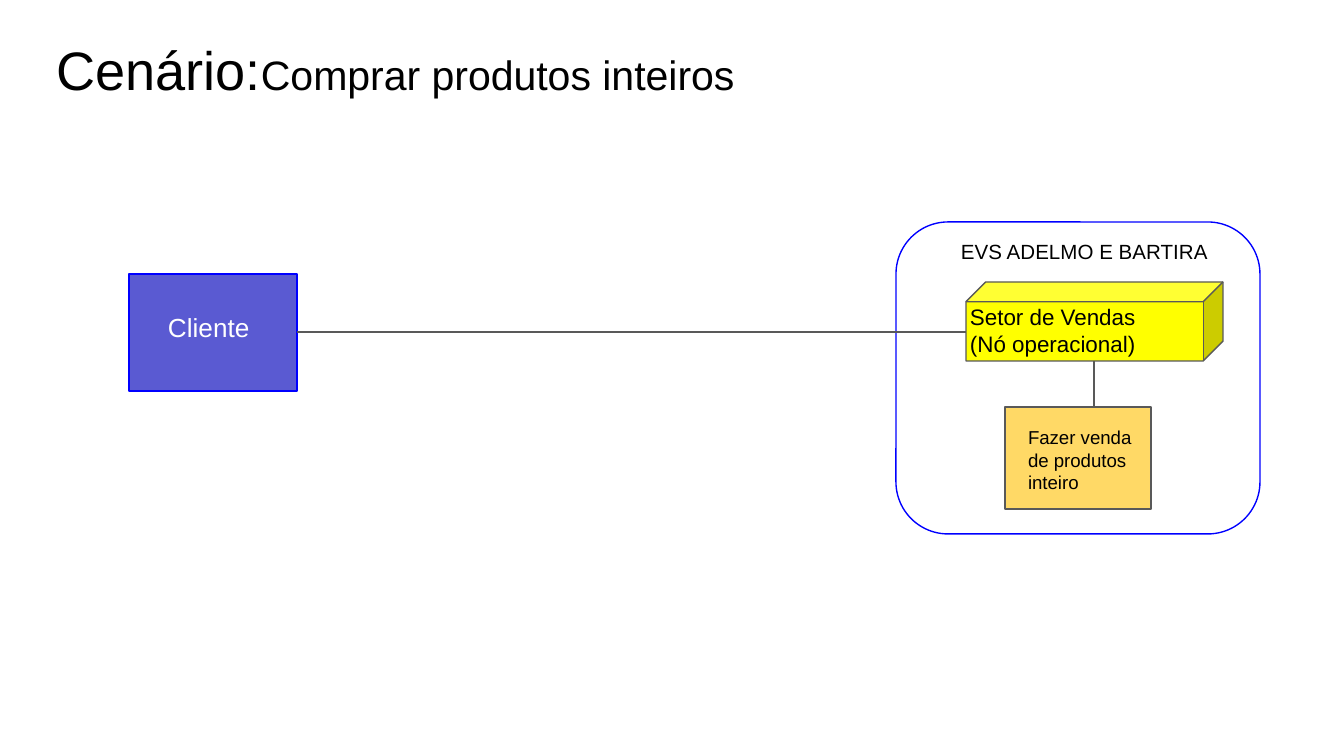
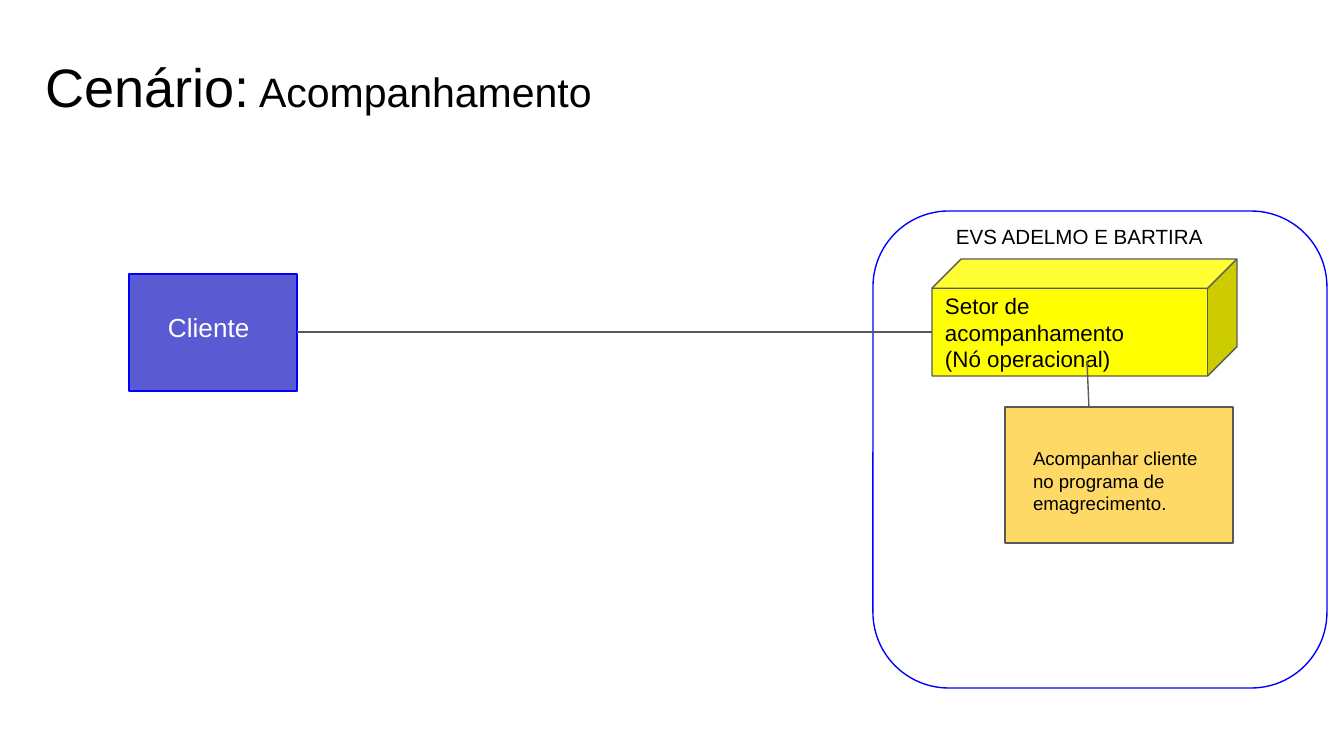
from dataclasses import dataclass

from lxml import etree
from pptx import Presentation
from pptx import util as u
from pptx.dml.color import RGBColor
from pptx.enum import shapes, text
from pptx.oxml.ns import qn

PIXEL = u.Inches(10) / 1344


@dataclass(frozen=True)
class Theme:
    font: str = "Arial"
    black: str = "000000"
    white: str = "FFFFFF"
    blue: str = "0000FF"
    violet: str = "5A5AD2"
    yellow: str = "FFFF00"
    amber: str = "FFD966"
    gray: str = "595959"
    line_width: float = 0.75
    inset: int = 13
    title_size: int = 29
    subtitle_size: int = 22
    client_size: int = 14
    sector_size: int = 12
    group_size: int = 11
    task_size: int = 10


THEME = Theme()
CLIENT_BOX = (129, 274, 168, 117)
CLIENT_LABEL_BOX = (155, 298, 116, 30)
CLIENT_EXIT = (297, 332)
GROUP_LABEL = "EVS ADELMO E BARTIRA"


def px(value):
    return u.Emu(round(value * PIXEL))


# Text
def write(shape, content, size, color=THEME.black, anchor=text.MSO_ANCHOR.TOP):
    """Append content to the shape's first paragraph in the given format."""
    frame = shape.text_frame
    frame.word_wrap = True
    frame.auto_size = text.MSO_AUTO_SIZE.NONE
    frame.vertical_anchor = anchor
    frame.margin_left = frame.margin_right = px(THEME.inset)
    frame.margin_top = frame.margin_bottom = px(THEME.inset)
    paragraph = frame.paragraphs[0]
    paragraph.alignment = text.PP_ALIGN.LEFT
    for index, line in enumerate(content.split("\n")):
        if index:
            paragraph.add_line_break()
        run = paragraph.add_run()
        run.text = line
        run.font.name = THEME.font
        run.font.size = u.Pt(size)
        run.font.color.rgb = RGBColor.from_string(color)


def add_title(slide, box, lead, topic):
    title = slide.shapes.title
    title.left, title.top, title.width, title.height = map(px, box)
    write(title, lead, THEME.title_size)
    write(title, topic, THEME.subtitle_size)


def add_label(slide, box, content, size, color=THEME.black):
    write(slide.shapes.add_textbox(*map(px, box)), content, size, color=color)


# Shapes and lines
def style_line(line, color):
    line.color.rgb = RGBColor.from_string(color)
    line.width = u.Pt(THEME.line_width)


def add_box(slide, kind, box, line, fill=None):
    shape = slide.shapes.add_shape(kind, *map(px, box))
    shape.shadow.inherit = False
    if fill:
        shape.fill.solid()
        shape.fill.fore_color.rgb = RGBColor.from_string(fill)
    else:
        shape.fill.background()
    style_line(shape.line, line)
    return shape


def add_link(slide, start, end):
    link = slide.shapes.add_connector(
        shapes.MSO_CONNECTOR.STRAIGHT, *map(px, start + end))
    style_line(link.line, THEME.gray)
    etree.SubElement(link._element.spPr, qn("a:effectLst"))


# Diagram parts
def add_group(slide, box):
    group = add_box(slide, shapes.MSO_SHAPE.ROUNDED_RECTANGLE, box, THEME.blue)
    group.adjustments[0] = 0.167


def add_client(slide):
    add_box(slide, shapes.MSO_SHAPE.RECTANGLE, CLIENT_BOX, THEME.blue, THEME.violet)
    add_label(slide, CLIENT_LABEL_BOX, "Cliente", THEME.client_size, THEME.white)


def add_sector(slide, box):
    """Draw the sector cube and its link from the client."""
    cube = add_box(slide, shapes.MSO_SHAPE.CUBE, box, THEME.gray, THEME.yellow)
    add_link(slide, CLIENT_EXIT, (box[0], CLIENT_EXIT[1]))
    return cube


def add_task(slide, box, label_box, content):
    add_box(slide, shapes.MSO_SHAPE.RECTANGLE, box, THEME.gray, THEME.amber)
    add_label(slide, label_box, content, THEME.task_size)


def add_scenario(presentation, title_box, topic, group_box):
    slide = presentation.slides.add_slide(presentation.slide_layouts[5])
    add_title(slide, title_box, "Cenário:", topic)
    add_group(slide, group_box)
    add_client(slide)
    return slide


def build_sale(presentation):
    slide = add_scenario(presentation, (43, 23, 754, 102),
                         "Comprar produtos inteiros", (896, 222, 364, 312))
    add_sector(slide, (966, 282, 257, 79))
    add_task(slide, (1005, 407, 146, 102), (1015, 413, 137, 79),
             "Fazer venda de produtos inteiro")
    add_label(slide, (957, 290, 227, 67), "Setor de Vendas\n(Nó operacional)",
              THEME.sector_size)
    add_link(slide, (1094, 361), (1094, 407))
    add_label(slide, (948, 226, 289, 59), GROUP_LABEL, THEME.group_size)


def build_follow_up(presentation):
    slide = add_scenario(presentation, (32, 40, 794, 85),
                         " Acompanhamento", (873, 211, 454, 477))
    cube = add_sector(slide, (932, 259, 305, 117))
    write(cube, "Setor de acompanhamento\n(Nó operacional)",
          THEME.sector_size, anchor=text.MSO_ANCHOR.MIDDLE)
    add_task(slide, (1005, 407, 228, 136), (1020, 434, 212, 99),
             "Acompanhar cliente no programa de emagrecimento.")
    add_link(slide, (1087, 361), (1089, 408))
    add_label(slide, (943, 211, 289, 59), GROUP_LABEL, THEME.group_size)


def main():
    presentation = Presentation()
    presentation.slide_width, presentation.slide_height = px(1344), px(756)
    build_sale(presentation)
    build_follow_up(presentation)
    presentation.save("out.pptx")


main()
